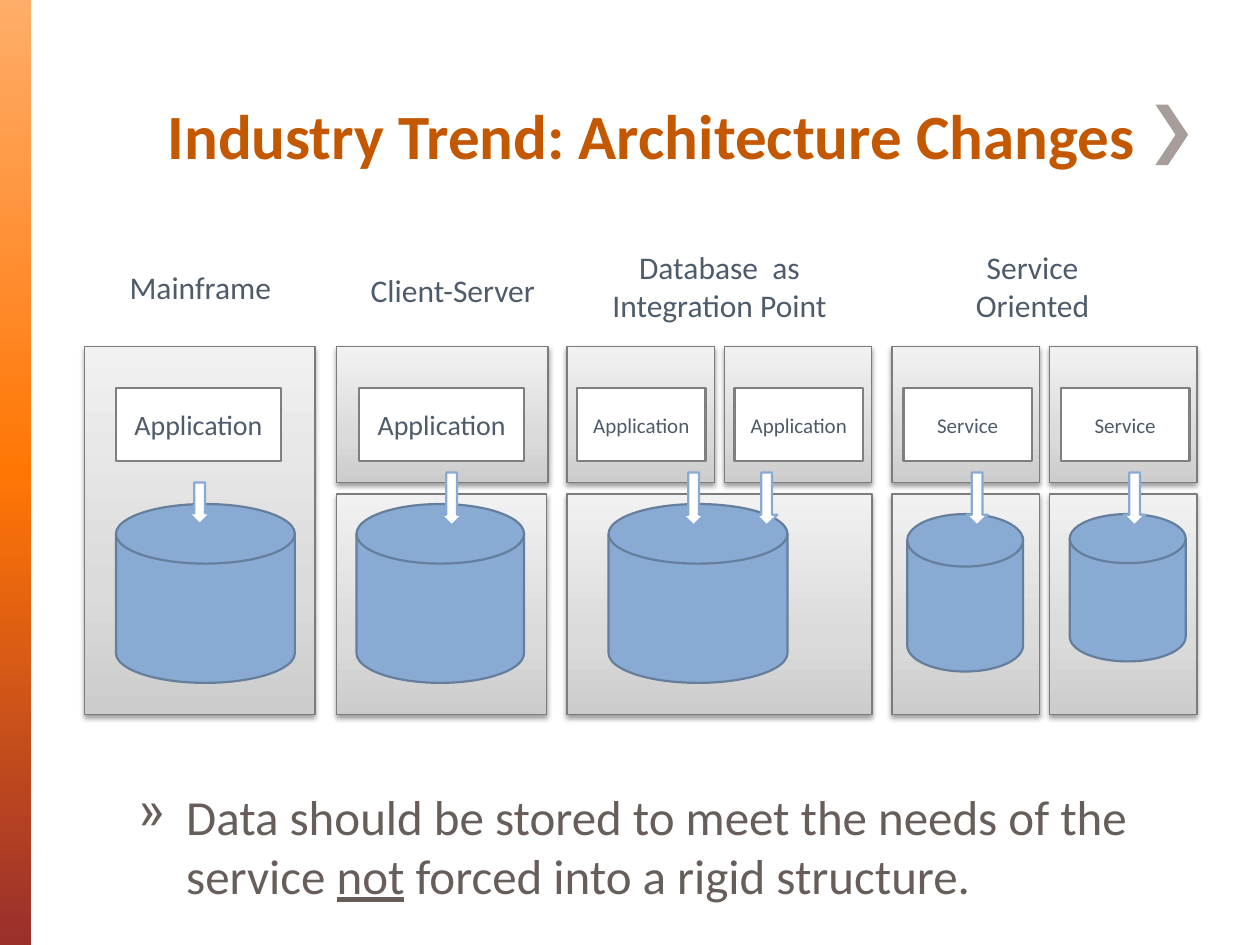
from copy import deepcopy
from dataclasses import dataclass

from pptx import Presentation
from pptx.dml.color import RGBColor
from pptx.enum.shapes import MSO_SHAPE as SHAPE
from pptx.enum.text import MSO_ANCHOR as ANCHOR, PP_ALIGN as ALIGN
from pptx.oxml import parse_xml
from pptx.oxml.ns import nsdecls, qn
from pptx.util import Inches, Pt


@dataclass(frozen=True)
class Theme:
    font: str = "Calibri"
    title: str = "C35800"
    body: str = "675D59"
    label: str = "4D5B6B"
    white: str = "FFFFFF"
    chevron: str = "A79D99"
    blue: str = "89AAD3"
    disk_line: str = "657E9C"
    box_line: str = "7F7F7F"
    panel_line: str = "7C7C7C"
    panel_stops: tuple = ((0, "CCCCCC"), (0.35, "DBDBDB"), (1, "F1F1F1"))
    bar_stops: tuple = ((0, "FFAD69"), (0.5, "FF7605"), (1, "9A2F2C"))
    title_size: int = 36
    body_size: int = 28
    label_size: int = 18
    large_size: int = 16
    small_size: int = 12


class Deck:
    def __init__(self, theme):
        self.theme = theme
        self.prs = Presentation()
        self.prs.slide_width, self.prs.slide_height = Inches(10), Inches(7.5)
        self.slide = self.prs.slides.add_slide(self.prs.slide_layouts[5])

    def format(self, p, size, color, align=ALIGN.CENTER, bold=False):
        p.alignment = align
        f = p.font
        f.name, f.size, f.bold = self.theme.font, Pt(size), bold
        f.color.rgb = RGBColor.from_string(color)

    def shape(self, kind, x, y, w, h, fill=None, line=None, width=1.25):
        s = self.slide.shapes.add_shape(
            kind, Inches(x), Inches(y), Inches(w), Inches(h))
        self.paint(s, fill, line, width)
        return s

    def paint(self, s, fill, line, width=1.25):
        s.shadow.inherit = False
        if fill:
            s.fill.solid()
            s.fill.fore_color.rgb = RGBColor.from_string(fill)
        if line:
            s.line.color.rgb = RGBColor.from_string(line)
            s.line.width = Pt(width)
        else:
            s.line.fill.background()

    def gradient(self, s, stops, angle):
        s.fill.gradient()
        s.fill.gradient_angle = angle
        gs_list = s._element.spPr.find(".//" + qn("a:gsLst"))
        gs_list.append(deepcopy(gs_list[0]))
        for stop, (position, color) in zip(s.fill.gradient_stops, stops):
            stop.position = position
            stop.color.rgb = RGBColor.from_string(color)

    def sidebar(self):
        s = self.shape(SHAPE.RECTANGLE, 0, 0, 0.25, 7.5)
        self.gradient(s, self.theme.bar_stops, 270)

    def chevron(self, x, y, w, h, stroke):
        points = [(x + stroke, y), (x + w, y + h / 2), (x + stroke, y + h),
                  (x, y + h), (x + w - stroke, y + h / 2), (x, y)]
        points = [(Inches(a), Inches(b)) for a, b in points]
        builder = self.slide.shapes.build_freeform(*points[0])
        builder.add_line_segments(points[1:])
        self.paint(builder.convert_to_shape(), self.theme.chevron, None)

    def title(self, text, x, y, w, h):
        s = self.slide.shapes.title
        s.left, s.top, s.width, s.height = map(Inches, (x, y, w, h))
        tf = s.text_frame
        tf.text = text
        tf.vertical_anchor = ANCHOR.BOTTOM
        self.format(tf.paragraphs[0], self.theme.title_size,
                    self.theme.title, ALIGN.RIGHT, True)

    def text_box(self, x, y, w, h, wrap):
        tf = self.slide.shapes.add_textbox(
            Inches(x), Inches(y), Inches(w), Inches(h)).text_frame
        tf.word_wrap = wrap
        return tf

    def label(self, text, x, y, w, h):
        tf = self.text_box(x, y, w, h, False)
        tf.text = text
        for p in tf.paragraphs:
            self.format(p, self.theme.label_size, self.theme.label)

    def bullet(self, runs, x, y, w, h):
        tf = self.text_box(x, y, w, h, True)
        tf.vertical_anchor = ANCHOR.MIDDLE
        p = tf.paragraphs[0]
        for text, underline in runs:
            r = p.add_run()
            r.text = text
            r.font.underline = underline
        self.format(p, self.theme.body_size, self.theme.body, ALIGN.LEFT)
        pPr = p._p.get_or_add_pPr()
        indent = Inches(0.38)
        pPr.set("marL", str(indent))
        pPr.set("indent", str(-indent))
        pPr.insert(0, parse_xml(f'<a:buChar {nsdecls("a")} char="»"/>'))

    def panel(self, x, y, w, h):
        s = self.shape(SHAPE.RECTANGLE, x, y, w, h,
                       line=self.theme.panel_line, width=0.75)
        self.gradient(s, self.theme.panel_stops, 90)
        s._element.spPr.find(qn("a:effectLst")).append(parse_xml(
            f'<a:outerShdw {nsdecls("a")} blurRad="{Pt(3.1)}" '
            f'dist="{Pt(1.6)}" dir="5400000" rotWithShape="0">'
            '<a:srgbClr val="000000"><a:alpha val="38000"/></a:srgbClr>'
            '</a:outerShdw>'))

    def disk(self, x, y, w, h):
        self.shape(SHAPE.FLOWCHART_MAGNETIC_DISK, x, y, w, h,
                   self.theme.blue, self.theme.disk_line)

    def box(self, text, x, w, size):
        s = self.shape(SHAPE.RECTANGLE, x, 3.08, w, 0.58,
                       self.theme.white, self.theme.box_line)
        tf = s.text_frame
        tf.text = text
        tf.vertical_anchor = ANCHOR.MIDDLE
        self.format(tf.paragraphs[0], size, self.theme.label)

    def arrow(self, x, y=3.75, h=0.42):
        self.shape(SHAPE.DOWN_ARROW, x, y, 0.17, h,
                   self.theme.white, self.theme.blue)


def main():
    theme = Theme()
    deck = Deck(theme)
    deck.sidebar()
    deck.chevron(9.17, 0.83, 0.26, 0.48, 0.1)
    deck.title("Industry Trend: Architecture Changes", 0.5, 0.17, 8.61, 1.25)

    deck.panel(0.67, 2.75, 1.83, 2.92)
    for x, w in [(2.67, 1.68), (4.5, 1.17), (5.75, 1.17),
                 (7.08, 1.17), (8.33, 1.17)]:
        deck.panel(x, 2.75, w, 1.08)
    for x, w in [(2.67, 1.67), (4.5, 2.42), (7.08, 1.17), (8.33, 1.17)]:
        deck.panel(x, 3.92, w, 1.75)

    for disk in [(0.92, 4, 1.42, 1.42), (2.83, 4, 1.33, 1.42),
                 (4.83, 4, 1.42, 1.42), (7.2, 4.08, 0.92, 1.25),
                 (8.49, 4.08, 0.92, 1.17)]:
        deck.disk(*disk)

    for x in (0.92, 2.85):
        deck.box("Application", x, 1.31, theme.large_size)
    for text, x in [("Application", 4.58), ("Application", 5.83),
                    ("Service", 7.17), ("Service", 8.42)]:
        deck.box(text, x, 1.02, theme.small_size)

    deck.arrow(1.5, 3.83, 0.33)
    for x in (3.5, 5.42, 6, 7.67, 8.92):
        deck.arrow(x)

    for label in [("Mainframe", 0.92, 2.08, 1.34, 0.4),
                  ("Client-Server", 2.83, 2.1, 1.53, 0.4),
                  ("Database  as\nIntegration Point", 4.75, 1.92, 1.92, 0.71),
                  ("Service\nOriented", 7.64, 1.92, 1.11, 0.71)]:
        deck.label(*label)

    deck.bullet([("Data should be stored to meet the needs of the service ", False),
                 ("not", True),
                 (" forced into a rigid structure.", False)],
                1, 6.17, 8.17, 1.08)
    deck.prs.save("out.pptx")


if __name__ == "__main__":
    main()
